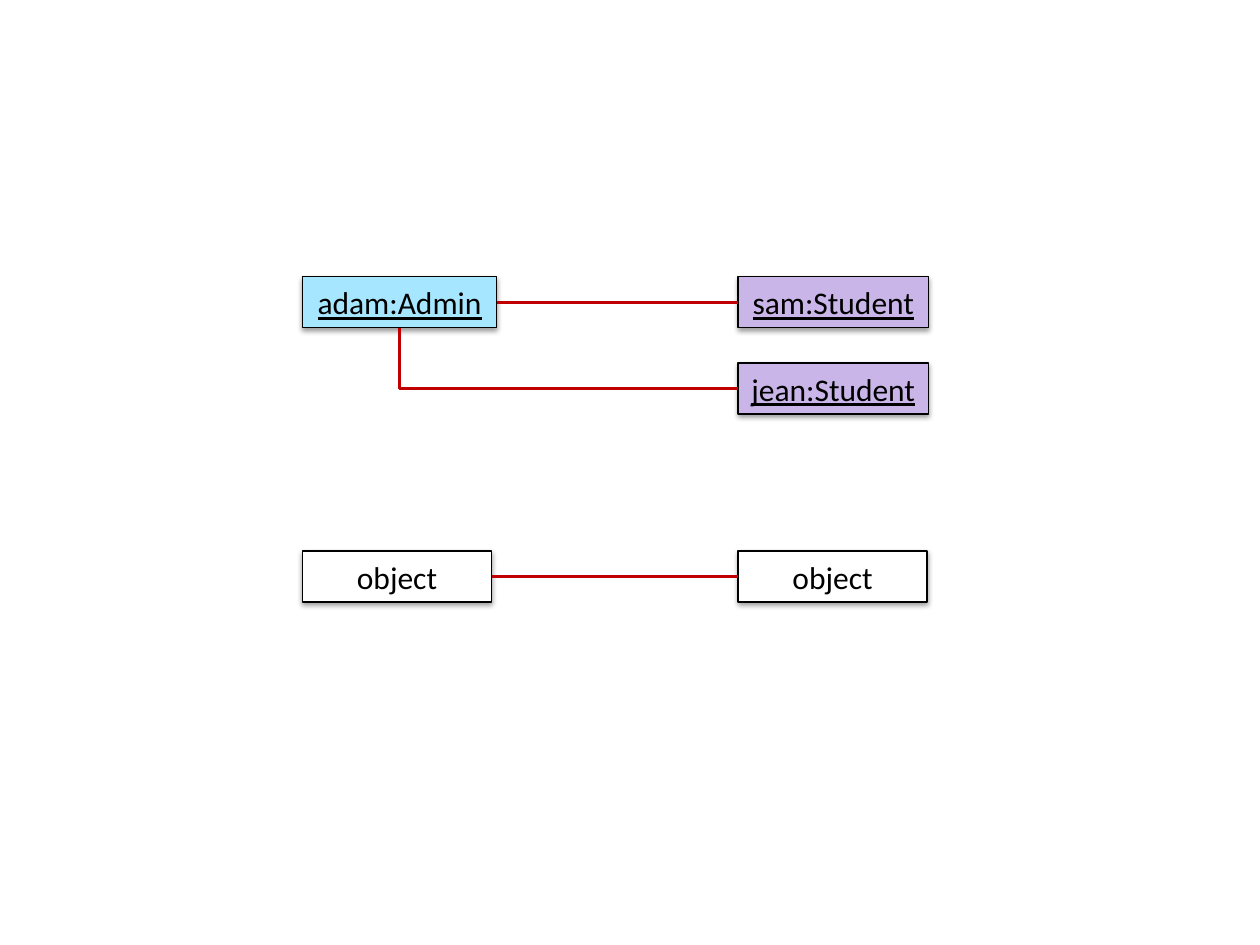
from lxml import etree
from pptx import Presentation
from pptx.dml.color import RGBColor
from pptx.enum.shapes import MSO_CONNECTOR, MSO_SHAPE
from pptx.enum.text import MSO_ANCHOR, MSO_AUTO_SIZE, PP_ALIGN
from pptx.oxml.ns import qn
from pptx.util import Cm, Pt

RECT = MSO_SHAPE.RECTANGLE
ELBOW = MSO_CONNECTOR.ELBOW
MIDDLE = MSO_ANCHOR.MIDDLE
CENTER = PP_ALIGN.CENTER
GROW = MSO_AUTO_SIZE.SHAPE_TO_FIT_TEXT
LEFT, BOTTOM, RIGHT = 1, 2, 3  # connection sites of a rectangle

COLORS = {
    "admin": "A7E6FF",
    "student": "C9B5E8",
    "plain": "FFFFFF",
    "ink": "000000",
    "link": "C00000",
}


def color(name):
    return RGBColor.from_string(COLORS[name])


class Diagram:
    font, size = "Calibri", Pt(18)
    height = Cm(1.03)

    def __init__(self, slide):
        self.slide = slide

    def box(self, text, left, top, width, fill, under=True):
        shape = self.slide.shapes.add_shape(
            RECT, Cm(left), Cm(top), Cm(width), self.height)
        shape.fill.solid()
        shape.fill.fore_color.rgb = color(fill)
        shape.line.color.rgb = color("ink")
        shape.line.width = Pt(0.75)
        self.shade(shape)
        frame = shape.text_frame
        frame.word_wrap = True
        frame.auto_size = GROW
        frame.vertical_anchor = MIDDLE
        para = frame.paragraphs[0]
        para.text = text
        para.alignment = CENTER
        para.font.name, para.font.size = self.font, self.size
        para.font.color.rgb = color("ink")
        if under:
            para.font.underline = True
        return shape

    def shade(self, shape):
        """Give the shape a soft shadow straight below it."""
        shape.shadow.inherit = False
        effects = shape._element.spPr.find(qn("a:effectLst"))
        outer = etree.SubElement(
            effects, qn("a:outerShdw"), blurRad=str(Pt(3.1)),
            dist=str(Pt(1.6)), dir="5400000", rotWithShape="0")
        tint = etree.SubElement(outer, qn("a:srgbClr"), val=COLORS["ink"])
        etree.SubElement(tint, qn("a:alpha"), val="38000")

    def link(self, start, end, site=RIGHT):
        line = self.slide.shapes.add_connector(ELBOW, 0, 0, 0, 0)
        line.begin_connect(start, site)
        line.end_connect(end, LEFT)
        line.line.color.rgb = color("link")
        line.line.width = Pt(1.5)
        etree.SubElement(line._element.spPr, qn("a:effectLst"))
        if site == BOTTOM:
            self.turn(line)

    def turn(self, line):
        """Make the line go down first, then right, with one corner."""
        wide, high = line.width, line.height
        line.left += (wide - high) // 2
        line.top += (high - wide) // 2
        line.width, line.height = high, wide
        props = line._element.spPr
        frame = props.find(qn("a:xfrm"))
        frame.set("rot", "16200000")
        frame.set("flipH", "1")
        props.find(qn("a:prstGeom")).set("prst", "bentConnector2")


def main():
    deck = Presentation()
    deck.slide_width, deck.slide_height = Cm(25.4), Cm(19.05)
    art = Diagram(deck.slides.add_slide(deck.slide_layouts[6]))
    near, far = 6.1, 14.88

    adam = art.box("adam:Admin", near, 5.58, 3.91, "admin")
    sam = art.box("sam:Student", far, 5.58, 3.84, "student")
    jean = art.box("jean:Student", far, 7.32, 3.84, "student")
    first, second = [
        art.box("object", left, 11.11, 3.81, "plain", under=False)
        for left in (near, far)]

    art.link(adam, sam)
    art.link(adam, jean, BOTTOM)
    art.link(first, second)
    deck.save("out.pptx")


if __name__ == "__main__":
    main()
